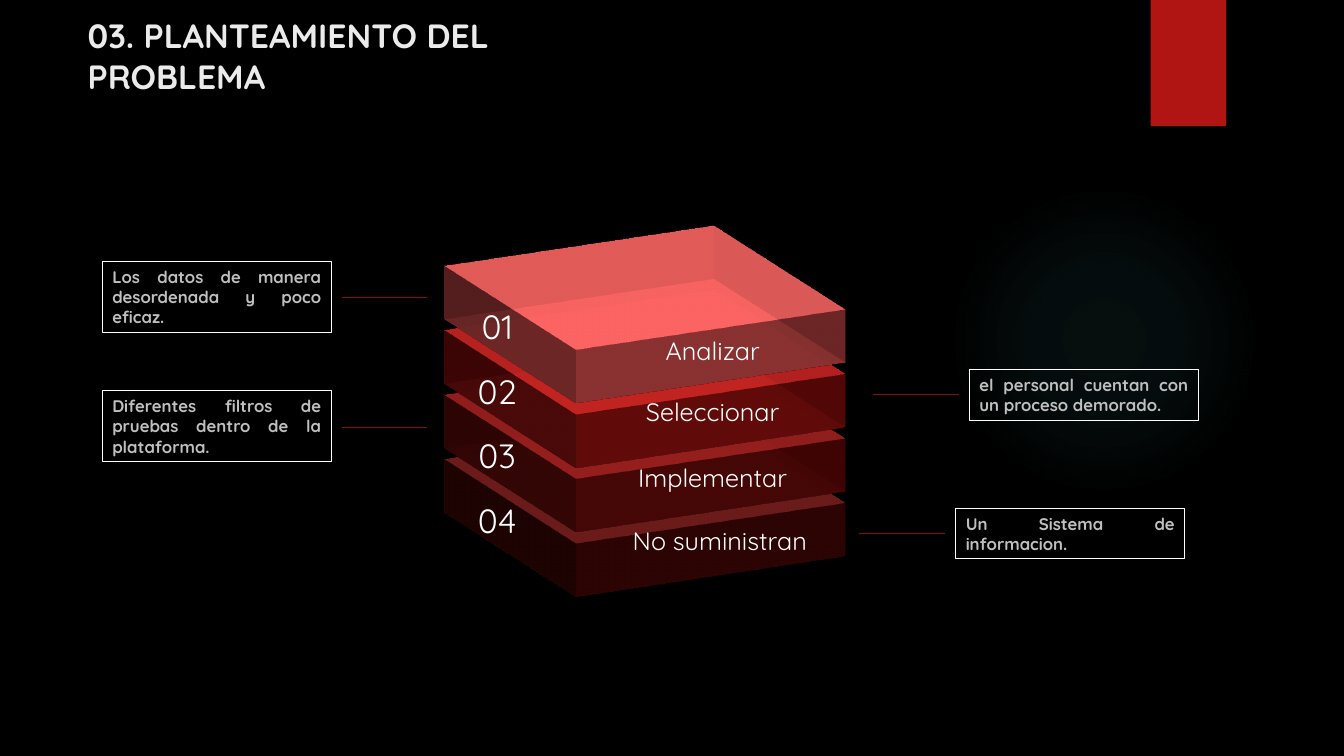
from lxml import etree
from pptx import Presentation
from pptx.dml.color import RGBColor
from pptx.enum.shapes import MSO_CONNECTOR as CONN, MSO_SHAPE as SHAPE
from pptx.enum.text import MSO_ANCHOR as ANCHOR, PP_ALIGN as ALIGN
from pptx.oxml import parse_xml
from pptx.oxml.ns import nsdecls, qn
from pptx.util import Cm, Pt

BLACK = RGBColor(0, 0, 0)
WHITE = RGBColor(0xFF, 0xFF, 0xFF)
TITLE = RGBColor(0xEB, 0xEB, 0xEB)
GREY = RGBColor(0xBF, 0xBF, 0xBF)
CORAL = RGBColor(0xED, 0x56, 0x54)
RED = RGBColor(0xB0, 0x15, 0x13)
DARK_RED = RGBColor(0x84, 0x10, 0x0E)
MAROON = RGBColor(0x58, 0x0A, 0x09)
TEAL = RGBColor(0x50, 0xB9, 0xC1)

SLAB_PITCH = 1.625


def write(sp, text, size, color, bold=False, align=ALIGN.LEFT,
          anchor=ANCHOR.MIDDLE, margins=(0.25, 0.13), font="Quicksand"):
    tf = sp.text_frame
    tf.word_wrap = True
    tf.vertical_anchor = anchor
    tf.margin_left = tf.margin_right = Cm(margins[0])
    tf.margin_top = tf.margin_bottom = Cm(margins[1])
    p = tf.paragraphs[0]
    p.alignment = align
    r = p.add_run()
    r.text = text
    r.font.name = font
    r.font.size = Pt(size)
    r.font.bold = bold
    r.font.color.rgb = color


class StackSlide:
    def __init__(self, prs):
        self.s = prs.slides.add_slide(prs.slide_layouts[6])
        self.s.background.fill.solid()
        self.s.background.fill.fore_color.rgb = BLACK

    def shape(self, kind, x, y, w, h, color):
        sp = self.s.shapes.add_shape(kind, Cm(x), Cm(y), Cm(w), Cm(h))
        sp.shadow.inherit = False
        sp.line.fill.background()
        sp.fill.solid()
        sp.fill.fore_color.rgb = color
        return sp

    def glow(self, x, y, size, color, stops):
        """Circle that fades outwards; stops are (position %, opacity %)."""
        sp = self.shape(SHAPE.OVAL, x, y, size, size, color)
        marks = "".join(
            f'<a:gs pos="{pos * 1000}"><a:srgbClr val="{color}">'
            f'<a:alpha val="{alpha * 1000}"/></a:srgbClr></a:gs>'
            for pos, alpha in stops)
        gradient = parse_xml(
            f'<a:gradFill {nsdecls("a")}><a:gsLst>{marks}</a:gsLst>'
            '<a:path path="circle"><a:fillToRect l="50000" t="50000" '
            'r="50000" b="50000"/></a:path></a:gradFill>')
        solid = sp.element.spPr.find(qn("a:solidFill"))
        solid.getparent().replace(solid, gradient)

    def slab(self, x, y, size, color, opacity, depth=40):
        """Square tilted in space and extruded by depth points."""
        sp = self.shape(SHAPE.RECTANGLE, x, y, size, size, color)
        spPr = sp.element.spPr
        rgb = spPr.find(qn("a:solidFill")).find(qn("a:srgbClr"))
        etree.SubElement(rgb, qn("a:alpha"), val=str(opacity * 1000))
        spPr.append(parse_xml(
            f'<a:scene3d {nsdecls("a")}><a:camera prst="isometricOffAxis1Top"/>'
            '<a:lightRig rig="threePt" dir="t"/></a:scene3d>'))
        spPr.append(parse_xml(
            f'<a:sp3d {nsdecls("a")} extrusionH="{Pt(depth)}"/>'))

    def text(self, x, y, w, h, text, **style):
        sp = self.s.shapes.add_textbox(Cm(x), Cm(y), Cm(w), Cm(h))
        write(sp, text, **style)

    def callout(self, x, y, h, text, line_x, line_y):
        group = self.s.shapes.add_group_shape()
        sp = group.shapes.add_shape(SHAPE.RECTANGLE, Cm(x), Cm(y), Cm(5.77), Cm(h))
        sp.shadow.inherit = False
        sp.fill.background()
        sp.line.color.rgb = WHITE
        sp.line.width = Pt(0.75)
        write(sp, text, size=12, color=GREY, bold=True, align=ALIGN.JUSTIFY)
        line = group.shapes.add_connector(
            CONN.STRAIGHT, Cm(line_x), Cm(line_y), Cm(line_x + 2.16), Cm(line_y))
        line.line.color.rgb = DARK_RED
        line.line.width = Pt(0.75)
        etree.SubElement(line.element.spPr, qn("a:effectLst"))


def main():
    prs = Presentation()
    prs.slide_width, prs.slide_height = Cm(33.87), Cm(19.05)
    slide = StackSlide(prs)

    slide.glow(23.91, 4.66, 7.82, TEAL, ((0, 7), (36, 6), (69, 0)))
    slide.shape(SHAPE.RECTANGLE, 29, 0, 1.9, 3.18, RED)
    slide.text(1.96, 1.25, 15.29, 1.3, "03. PLANTEAMIENTO DEL PROBLEMA",
               size=24, color=TITLE, bold=True, anchor=ANCHOR.BOTTOM)

    slabs = ((CORAL, 85), (RED, 90), (DARK_RED, 95), (MAROON, 100))
    for i, (color, opacity) in reversed(list(enumerate(slabs))):
        slide.slab(12.47, 3.46 + i * SLAB_PITCH, 7.57, color, opacity)

    centred = dict(color=WHITE, align=ALIGN.CENTER, margins=(0.18, 0.1))
    labels = (
        (14.43, 8.34, "Analizar"),
        (14.43, 9.88, "Seleccionar"),
        (14.43, 11.54, "Implementar"),
        (14.61, 13.14, "No suministran"),
    )
    for i, (x, y, label) in enumerate(labels):
        slide.text(x, y, 7.06, 0.97, label, size=18, **centred)
        slide.text(11.55, 7.61 + i * SLAB_PITCH, 1.96, 1.22, f"{i + 1:02}",
                   size=24, **centred)

    callouts = (
        (2.58, 6.58, 1.8, "Los datos de manera desordenada y poco eficaz.", 8.61, 7.5),
        (24.43, 9.32, 1.27, "el personal cuentan con un proceso demorado.", 22, 9.93),
        (2.58, 9.84, 1.8, "Diferentes filtros de pruebas dentro de la plataforma.",
         8.61, 10.77),
        (24.09, 12.81, 1.27, "Un Sistema de informacion.", 21.66, 13.44),
    )
    for callout in callouts:
        slide.callout(*callout)

    prs.save("out.pptx")


if __name__ == "__main__":
    main()
